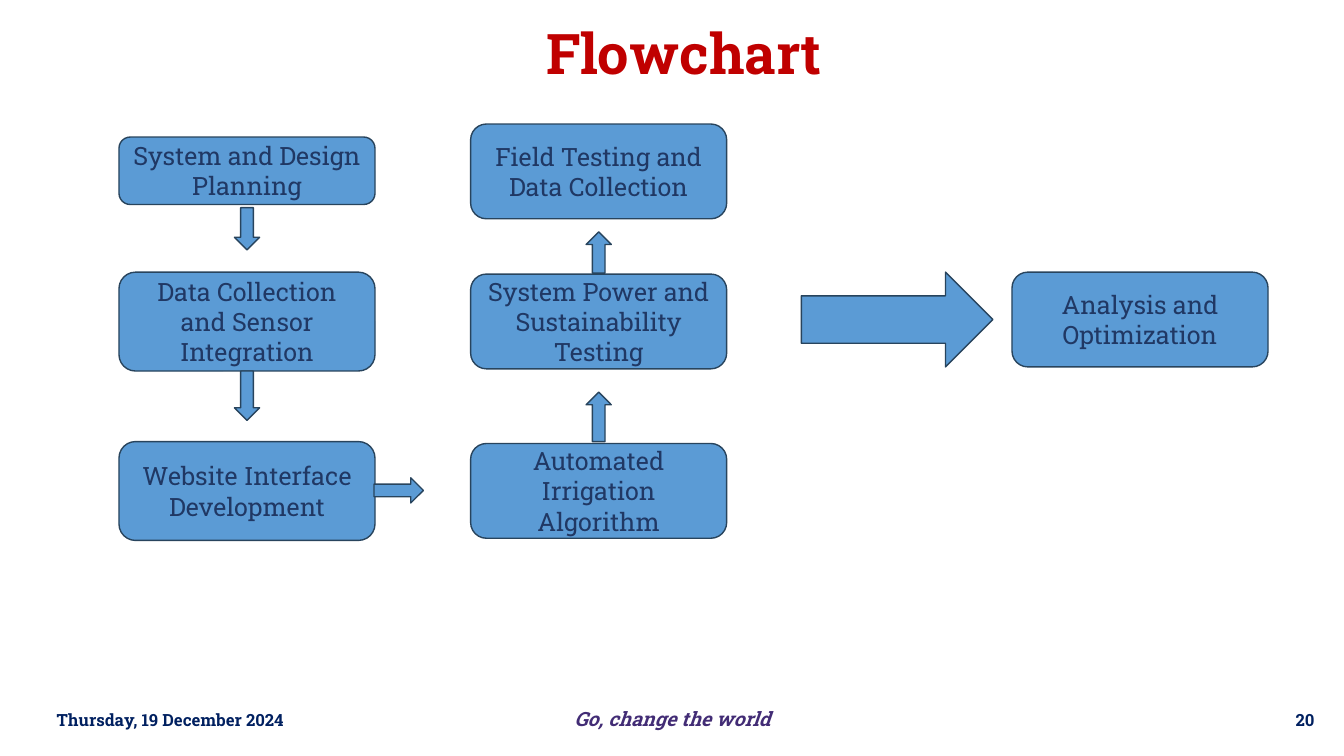
from dataclasses import dataclass

from pptx import Presentation
from pptx.dml.color import RGBColor
from pptx.enum.dml import MSO_LINE
from pptx.enum.shapes import MSO_SHAPE as Shape
from pptx.enum.text import MSO_ANCHOR as Anchor, MSO_AUTO_SIZE as AutoSize, PP_ALIGN as Align
from pptx.util import Pt


@dataclass(frozen=True)
class Theme:
    font: str = "Roboto Slab"
    white: str = "FFFFFF"
    title: str = "C00000"
    fill: str = "5B9BD5"
    outline: str = "28445D"
    label: str = "203864"
    footer: str = "002060"
    motto: str = "422C75"
    title_size: int = 40
    label_size: int = 18
    motto_size: int = 14
    footer_size: int = 12


THEME = Theme()
BOX_W, BOX_H, TALL_H = 182.9, 67.7, 70.6
LEFT_X, MIDDLE_X, RIGHT_X = 85, 336.2, 722.9
ARROW_W = 18
FOOTER_Y, FOOTER_W, FOOTER_H = 499.7, 216, 28.8

# Step label, left, top, height
STEPS = [
    ("System and Design Planning", LEFT_X, 97.9, 48.2),
    ("Data Collection and Sensor Integration", LEFT_X, 194.4, TALL_H),
    ("Website Interface Development", LEFT_X, 315.4, TALL_H),
    ("Automated Irrigation Algorithm", MIDDLE_X, 316.8, BOX_H),
    ("System Power and Sustainability Testing", MIDDLE_X, 195.8, BOX_H),
    ("Field Testing and Data Collection", MIDDLE_X, 88.6, BOX_H),
    ("Analysis and Optimization", RIGHT_X, 194.4, BOX_H),
]

# Small arrow: centre, top, length, rotation
LEFT_MID, MIDDLE_MID = LEFT_X + BOX_W / 2, MIDDLE_X + BOX_W / 2
SMALL_ARROWS = [
    (LEFT_MID, 148.3, 30.2, 0),
    (LEFT_MID, 265, 35.3, 0),
    (284.8, 332.6, 35.3, 270),
    (MIDDLE_MID, 280.1, 35.3, 180),
    (MIDDLE_MID, 165.6, 29.5, 180),
]


def rgb(color):
    return RGBColor.from_string(color)


def write(sp, text, *, size, color, bold=False, italic=False,
          align=Align.CENTER, anchor=Anchor.MIDDLE):
    tf = sp.text_frame
    tf.word_wrap = True
    tf.auto_size = AutoSize.NONE
    tf.vertical_anchor = anchor
    p = tf.paragraphs[0]
    p.alignment = align
    r = p.add_run()
    r.text = text
    font = r.font
    font.name, font.size, font.bold, font.italic = THEME.font, Pt(size), bold, italic
    font.color.rgb = rgb(color)
    return tf


def paint(sp, fill, line, width):
    sp.fill.solid()
    sp.fill.fore_color.rgb = rgb(fill)
    sp.line.color.rgb = rgb(line)
    sp.line.width = Pt(width)


def add_block(slide, kind, x, y, w, h, rotation=0):
    sp = slide.shapes.add_shape(kind, Pt(x), Pt(y), Pt(w), Pt(h))
    sp.shadow.inherit = False
    sp.rotation = rotation
    paint(sp, THEME.fill, THEME.outline, 1)
    return sp


def add_step(slide, text, x, y, h):
    sp = add_block(slide, Shape.FLOWCHART_ALTERNATE_PROCESS, x, y, BOX_W, h)
    write(sp, text, size=THEME.label_size, color=THEME.label)


def add_label(slide, text, x, y, w, h, **style):
    sp = slide.shapes.add_textbox(Pt(x), Pt(y), Pt(w), Pt(h))
    return write(sp, text, **style)


def set_title(slide, text):
    sp = slide.shapes.title
    sp.left, sp.top, sp.width, sp.height = Pt(167.8), Pt(4.3), Pt(641.5), Pt(66.2)
    paint(sp, THEME.white, THEME.white, 0.25)
    sp.line.dash_style = MSO_LINE.SQUARE_DOT
    write(sp, text, size=THEME.title_size, color=THEME.title, bold=True)


def add_footer(slide):
    tf = add_label(slide, "Go, change the world", 398.2, 504, 164.2, 17.3,
                   size=THEME.motto_size, color=THEME.motto, bold=True,
                   italic=True, anchor=Anchor.TOP)
    tf.margin_left = tf.margin_right = tf.margin_bottom = 0
    tf.margin_top = Pt(0.7)
    for text, x, align in (("Thursday, 19 December 2024", 13.7, Align.CENTER),
                           ("20", 730.1, Align.RIGHT)):
        add_label(slide, text, x, FOOTER_Y, FOOTER_W, FOOTER_H, align=align,
                  size=THEME.footer_size, color=THEME.footer, bold=True)


def main():
    prs = Presentation()
    prs.slide_width, prs.slide_height = Pt(960), Pt(540)
    slide = prs.slides.add_slide(prs.slide_layouts[5])

    # Title and footer
    set_title(slide, "Flowchart")
    add_footer(slide)

    # Process steps
    for text, x, y, h in STEPS:
        add_step(slide, text, x, y, h)

    # Arrows between the steps
    for centre, y, length, rotation in SMALL_ARROWS:
        add_block(slide, Shape.DOWN_ARROW, centre - ARROW_W / 2, y,
                  ARROW_W, length, rotation)
    add_block(slide, Shape.RIGHT_ARROW, 572.4, 194.4, 136.8, BOX_H)

    prs.save("out.pptx")


if __name__ == "__main__":
    main()
